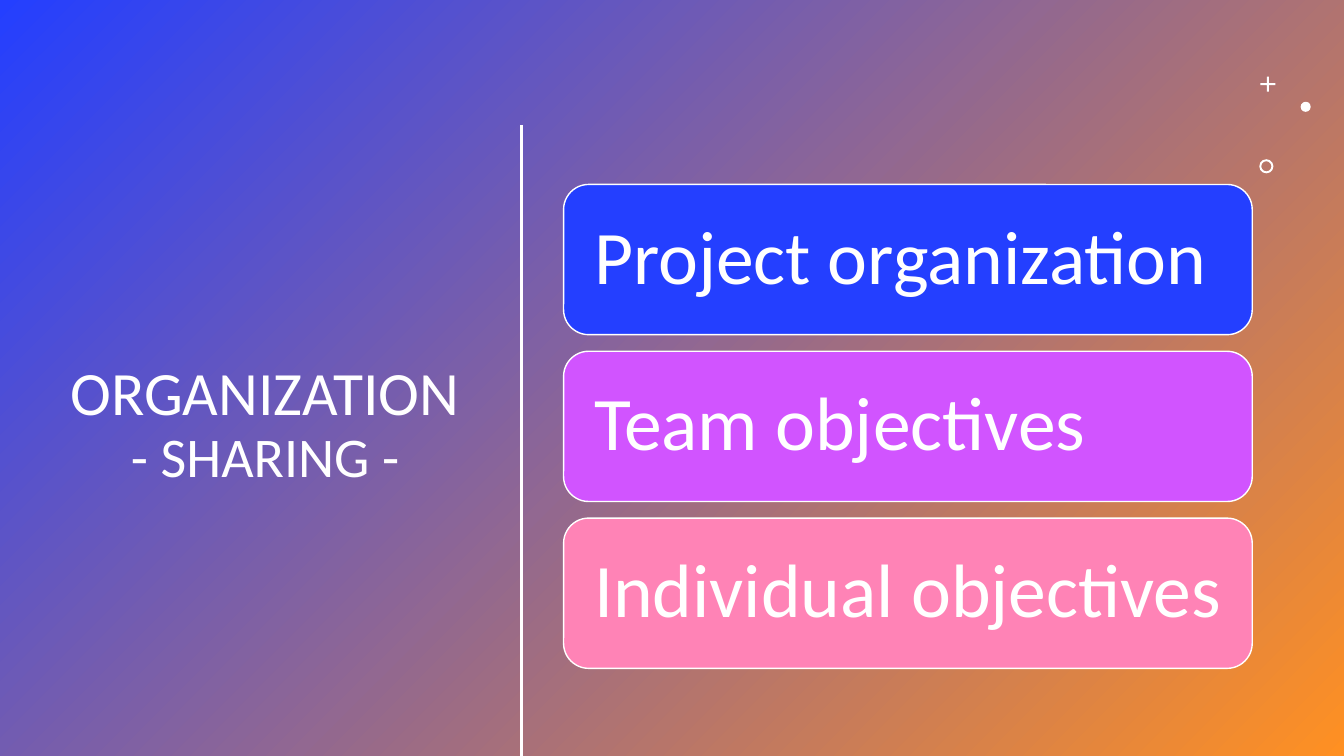
from lxml import etree
from pptx import Presentation
from pptx.dml.color import RGBColor
from pptx.enum.shapes import MSO_CONNECTOR, MSO_SHAPE as Preset
from pptx.enum.text import MSO_ANCHOR as Anchor, PP_ALIGN as Align
from pptx.oxml.ns import qn
from pptx.util import Inches, Pt

WHITE, BLUE, ORANGE = "FFFFFF", "243FFF", "FF9022"
TOPICS = [
    ("Project organization", BLUE),
    ("Team objectives", "D154FF"),
    ("Individual objectives", "FF83B6"),
]
ORNAMENTS = [
    (Preset.CROSS, 12.5, 0.76, 0.15, 0.43),
    (Preset.OVAL, 12.9, 1.01, 0.1, None),
    (Preset.DONUT, 12.49, 1.58, 0.14, 0.14),
]
CARD_LEFT, CARD_TOP, CARD_WIDTH, CARD_HEIGHT = 5.59, 1.83, 6.83, 1.49
CARD_STEP = 1.655


def rgb(color):
    return RGBColor.from_string(color)


def style_run(run, size):
    run.font.name = "Calibri"
    run.font.size = Pt(size)
    run.font.color.rgb = rgb(WHITE)


def add_preset(slide, preset, left, top, width, height):
    shape = slide.shapes.add_shape(
        preset, Inches(left), Inches(top), Inches(width), Inches(height))
    shape.shadow.inherit = False
    shape.line.fill.background()
    return shape


def fill_solid(shape, color):
    shape.fill.solid()
    shape.fill.fore_color.rgb = rgb(color)


def add_backdrop(slide):
    backdrop = add_preset(slide, Preset.RECTANGLE, 0, 0, 13.33, 7.5)
    backdrop.fill.gradient()
    backdrop.fill.gradient_angle = 315
    for stop, color in zip(backdrop.fill.gradient_stops, (BLUE, ORANGE)):
        stop.color.rgb = rgb(color)
    slide.shapes._spTree.insert(2, backdrop._element)


def format_title(slide):
    title = slide.shapes.title
    title.left, title.top = Inches(0.24), Inches(1.17)
    title.width, title.height = Inches(4.78), Inches(6.11)
    frame = title.text_frame
    frame.text = "ORGANIZATION\v- SHARING -"
    frame.word_wrap = True
    frame.vertical_anchor = Anchor.MIDDLE
    heading = frame.paragraphs[0]
    heading.alignment = Align.CENTER
    heading.line_spacing = 0.9
    for run, size in zip(heading.runs, (44, 40)):
        style_run(run, size)


def add_divider(slide):
    divider = slide.shapes.add_connector(
        MSO_CONNECTOR.STRAIGHT, Inches(5.17), Inches(1.24), Inches(5.17), Inches(7.5))
    divider.line.color.rgb = rgb(WHITE)
    divider.line.width = Pt(2)
    etree.SubElement(divider._element.spPr, qn("a:effectLst"))


def add_ornament(slide, preset, left, top, size, adjustment):
    ornament = add_preset(slide, preset, left, top, size, size)
    fill_solid(ornament, WHITE)
    if adjustment is not None:
        ornament.adjustments[0] = adjustment


def add_card(slide, top, topic, color):
    card = add_preset(
        slide, Preset.ROUNDED_RECTANGLE, CARD_LEFT, top, CARD_WIDTH, CARD_HEIGHT)
    fill_solid(card, color)
    card.line.color.rgb = rgb(WHITE)
    card.line.width = Pt(1)
    frame = card.text_frame
    frame.text = topic
    frame.word_wrap = True
    frame.vertical_anchor = Anchor.MIDDLE
    frame.margin_left = frame.margin_top = frame.margin_bottom = Inches(0.23)
    frame.margin_right = Inches(0.1)
    label = frame.paragraphs[0]
    label.alignment = Align.LEFT
    label.line_spacing = 0.9
    style_run(label.runs[0], 54)


def main():
    deck = Presentation()
    deck.slide_width, deck.slide_height = Inches(13.33), Inches(7.5)
    slide = deck.slides.add_slide(deck.slide_layouts[5])
    add_backdrop(slide)
    format_title(slide)
    add_divider(slide)
    for ornament in ORNAMENTS:
        add_ornament(slide, *ornament)
    for index, (topic, color) in enumerate(TOPICS):
        add_card(slide, CARD_TOP + index * CARD_STEP, topic, color)
    deck.save("out.pptx")


if __name__ == "__main__":
    main()
